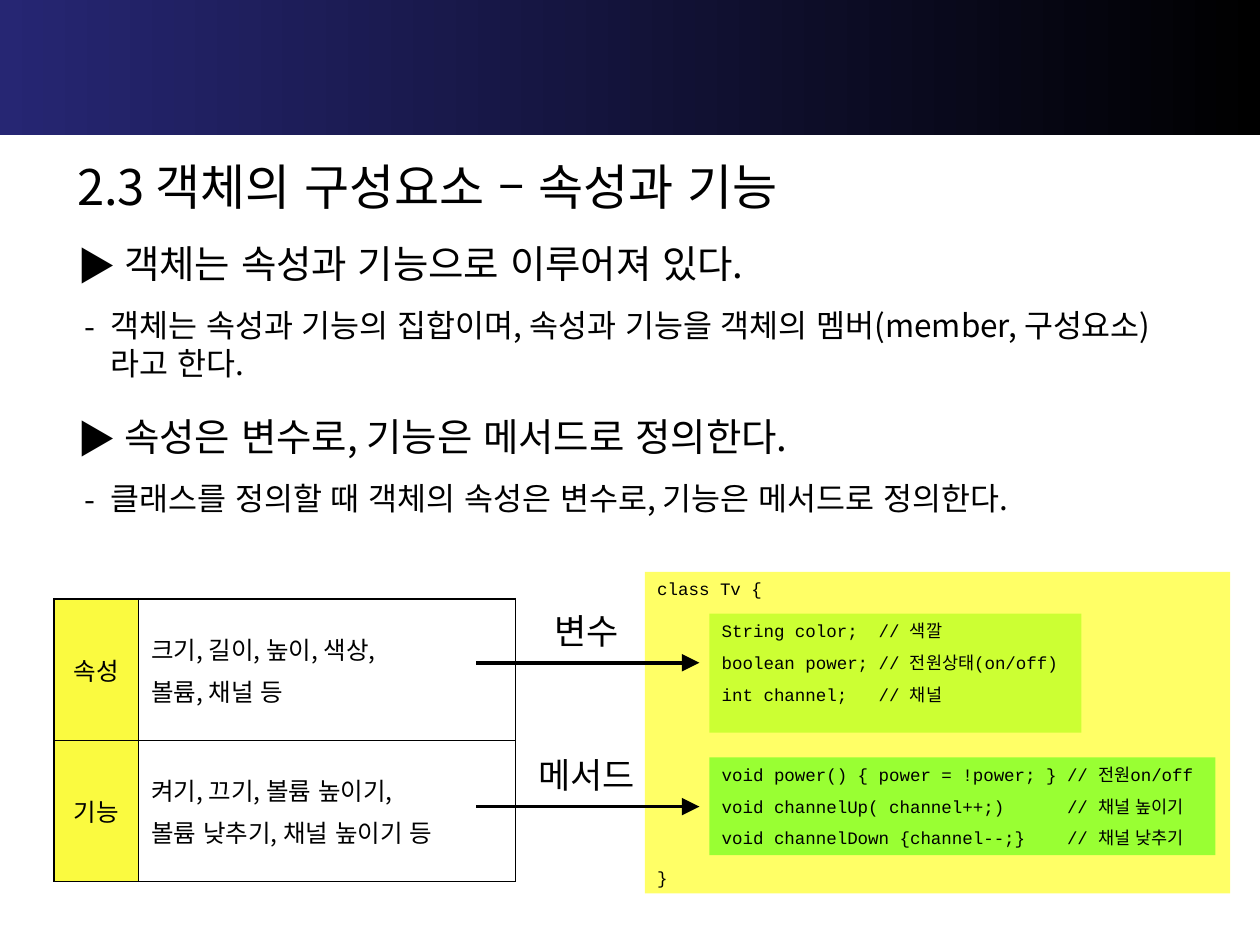
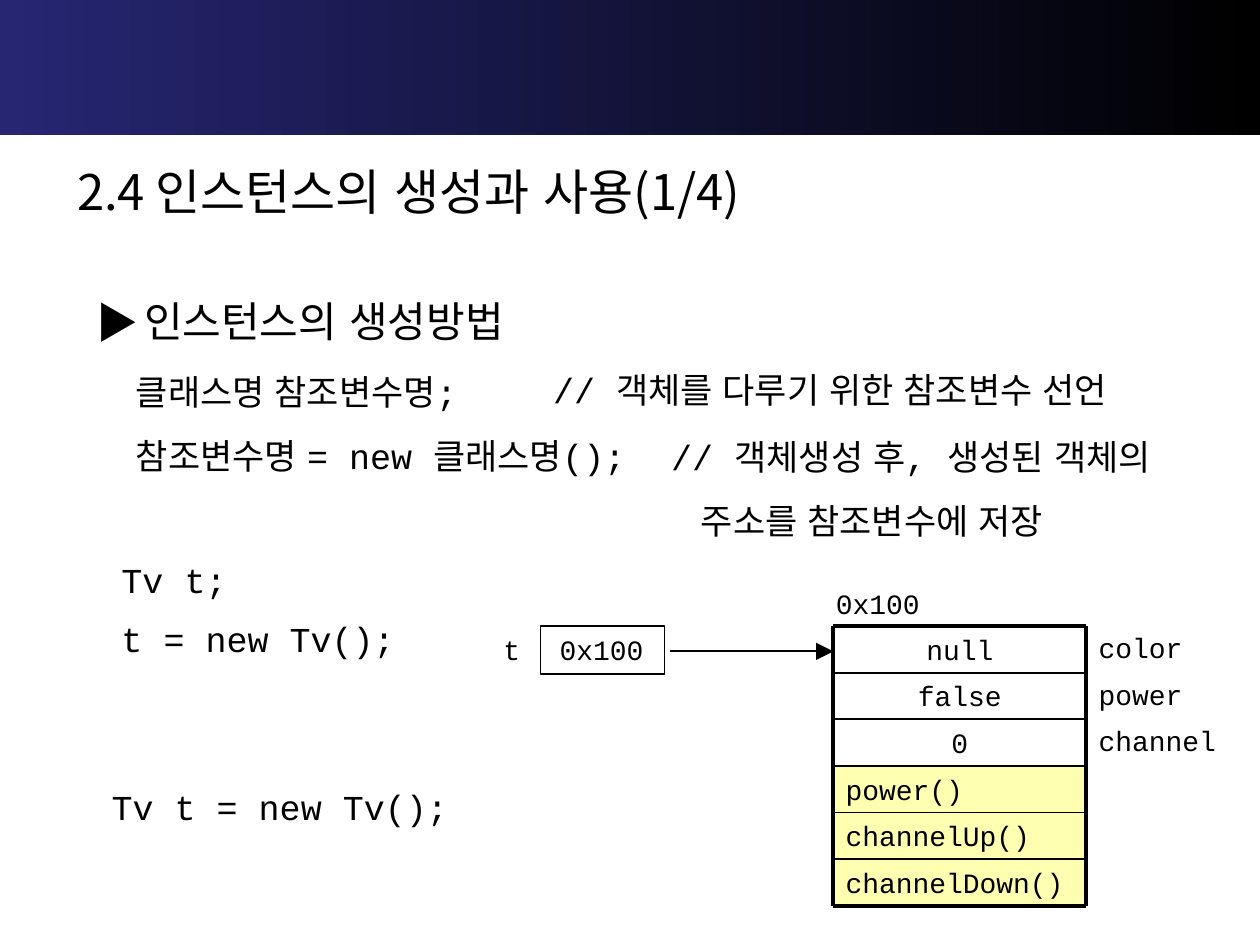
import pptx
import pptx.dml.color
import pptx.enum.lang
import pptx.enum.shapes
import pptx.enum.text
import pptx.oxml.ns
import pptx.util
from lxml import etree

Cm = pptx.util.Cm
Pt = pptx.util.Pt
RGBColor = pptx.dml.color.RGBColor
Align = pptx.enum.text.PP_ALIGN
Anchor = pptx.enum.text.MSO_ANCHOR
qn = pptx.oxml.ns.qn

BLACK = RGBColor(0x00, 0x00, 0x00)
NAVY = RGBColor(0x26, 0x26, 0x73)
CLASS_YELLOW = RGBColor(0xFF, 0xFF, 0x66)
FIELD_LIME = RGBColor(0xCC, 0xFF, 0x33)
METHOD_GREEN = RGBColor(0x99, 0xFF, 0x33)
HEADER_YELLOW = RGBColor(0xFA, 0xFA, 0x40)

KOREAN = "Noto Sans CJK KR"
CODE = "Courier New"
THICK, THIN = 2.25, 1


class Deck:
    def __init__(self):
        self.presentation = pptx.Presentation()
        self.presentation.slide_width = Cm(25.4)
        self.presentation.slide_height = Cm(19.05)
        self.slide = None

    def start_slide(self):
        layout = self.presentation.slide_layouts[1]
        self.slide = self.presentation.slides.add_slide(layout)
        band = self.box(0, -0.03, 25.4, 2.75)
        band.fill.gradient()
        band.fill.gradient_angle = 0
        for stop, color, position in zip(band.fill.gradient_stops, (NAVY, BLACK), (0, 1)):
            stop.color.rgb = color
            stop.position = position

    def place(self, shape, left, top, width, height):
        shape.left, shape.top = Cm(left), Cm(top)
        shape.width, shape.height = Cm(width), Cm(height)
        self.prepare(shape.text_frame)

    def prepare(self, frame):
        frame.word_wrap = True
        frame.auto_size = pptx.enum.text.MSO_AUTO_SIZE.NONE
        frame.vertical_anchor = Anchor.TOP

    def format_run(self, run, size, font):
        run.font.size = Pt(size)
        run.font.color.rgb = BLACK
        run.font.name = font
        run.font.language_id = pptx.enum.lang.MSO_LANGUAGE_ID.KOREAN
        run.font._element.set("kern", "0")
        etree.SubElement(run.font._element, qn("a:ea")).set("typeface", KOREAN)

    def format_paragraph(self, paragraph, size, font, align=Align.LEFT, before=0):
        paragraph.alignment = align
        paragraph.space_before = Pt(before)
        for run in paragraph.runs:
            self.format_run(run, size, font)

    def fill_text(self, frame, text, size, font, align=Align.LEFT, before=0):
        frame.text = text
        for index, paragraph in enumerate(frame.paragraphs):
            self.format_paragraph(paragraph, size, font, align, before if index else 0)

    def title(self, top, *parts):
        title = self.slide.shapes.title
        self.place(title, 1.3, top, 21.6, 1.45)
        paragraph = title.text_frame.paragraphs[0]
        self.format_paragraph(paragraph, 28, KOREAN)
        for text, font in parts:
            run = paragraph.add_run()
            run.text = text
            self.format_run(run, 28, font)

    def bullets(self, left, top, width, height, items, heading_size):
        body = self.slide.placeholders[1]
        self.place(body, left, top, width, height)
        body.text_frame.text = "\n".join(text for mark, text in items)
        for index, (paragraph, (mark, text)) in enumerate(zip(body.text_frame.paragraphs, items)):
            heading = mark == "▶"
            margin, hanging = (0.95, 0.95) if heading else (0.67, 0.53)
            properties = paragraph._p.get_or_add_pPr()
            properties.set("marL", str(Cm(margin)))
            properties.set("indent", str(-Cm(hanging)))
            etree.SubElement(properties, qn("a:buFont")).set("typeface", KOREAN)
            etree.SubElement(properties, qn("a:buChar")).set("char", mark)
            before = (18 if heading else 11.2) if index else 0
            self.format_paragraph(paragraph, heading_size if heading else 18, KOREAN, before=before)

    def box(self, left, top, width, height, fill=None, border=None, alpha=None):
        shape = self.slide.shapes.add_shape(
            pptx.enum.shapes.MSO_SHAPE.RECTANGLE, Cm(left), Cm(top), Cm(width), Cm(height))
        shape.shadow.inherit = False
        self.prepare(shape.text_frame)
        if fill is None:
            shape.fill.background()
        else:
            shape.fill.solid()
            shape.fill.fore_color.rgb = fill
        if alpha:
            color = shape._element.spPr.find(".//" + qn("a:srgbClr"))
            etree.SubElement(color, qn("a:alpha")).set("val", str(alpha * 1000))
        if border:
            shape.line.color.rgb = BLACK
            shape.line.width = Pt(border)
        else:
            shape.line.fill.background()
        return shape

    def code_box(self, left, top, width, height, fill, text, before=6.2):
        shape = self.box(left, top, width, height, fill)
        self.fill_text(shape.text_frame, text, 10, CODE, before=before)

    def label(self, left, top, width, height, text, size, font=CODE, align=Align.LEFT, before=0):
        shape = self.slide.shapes.add_textbox(Cm(left), Cm(top), Cm(width), Cm(height))
        self.prepare(shape.text_frame)
        self.fill_text(shape.text_frame, text, size, font, align, before)
        return shape

    def line(self, start, end, width, arrow=False):
        connector = self.slide.shapes.add_connector(
            pptx.enum.shapes.MSO_CONNECTOR.STRAIGHT, *(Cm(value) for value in (*start, *end)))
        connector.line.color.rgb = BLACK
        connector.line.width = Pt(width)
        if arrow:
            etree.SubElement(connector.line._get_or_add_ln(), qn("a:tailEnd"),
                             type="triangle", w="lg", len="lg")
        etree.SubElement(connector._element.spPr, qn("a:effectLst"))

    def border(self, cell, side, width):
        properties = cell._tc.get_or_add_tcPr()
        edge = etree.SubElement(properties, qn("a:ln" + side), w=str(Pt(width)))
        fill = etree.SubElement(edge, qn("a:solidFill"))
        etree.SubElement(fill, qn("a:srgbClr")).set("val", str(BLACK))

    def table(self, left, top, column_widths, row_height, rows):
        last_row, last_column = len(rows) - 1, len(column_widths) - 1
        table = self.slide.shapes.add_table(
            len(rows), len(column_widths), Cm(left), Cm(top),
            Cm(sum(column_widths)), Cm(row_height * len(rows))).table
        table.first_row = table.horz_banding = False
        for column, width in zip(table.columns, column_widths):
            column.width = Cm(width)
        for row_index, row in enumerate(rows):
            for column_index, text in enumerate(row):
                cell = table.cell(row_index, column_index)
                cell.vertical_anchor = Anchor.MIDDLE
                align = Align.LEFT if column_index else Align.CENTER
                self.fill_text(cell.text_frame, text, 14, KOREAN, align, 3.5)
                outer = {"L": column_index == 0, "R": column_index == last_column,
                         "T": row_index == 0, "B": row_index == last_row}
                for side, is_outer in outer.items():
                    self.border(cell, side, 1.08 if is_outer else 0.45)
                if column_index:
                    cell.fill.background()
                else:
                    cell.fill.solid()
                    cell.fill.fore_color.rgb = HEADER_YELLOW


def build_members_slide(deck):
    deck.start_slide()
    deck.code_box(13, 11.53, 11.8, 6.48, CLASS_YELLOW, "class Tv {\n}", 153)
    deck.title(3.02, ("2.3 객체의 구성요소 ", KOREAN), ("– ", "Arial"), ("속성과 기능", KOREAN))
    deck.bullets(1.3, 4.72, 22.6, 5.9, [
        ("▶", "객체는 속성과 기능으로 이루어져 있다."),
        ("-", "객체는 속성과 기능의 집합이며, 속성과 기능을 객체의 멤버(member, 구성요소)라고 한다."),
        ("▶", "속성은 변수로, 기능은 메서드로 정의한다."),
        ("-", "클래스를 정의할 때 객체의 속성은 변수로, 기능은 메서드로 정의한다."),
    ], 22)
    deck.table(1.09, 12.07, (1.7, 7.6), 2.85, [
        ("속성", "크기, 길이, 높이, 색상,\n볼륨, 채널 등"),
        ("기능", "켜기, 끄기, 볼륨 높이기,\n볼륨 낮추기, 채널 높이기 등"),
    ])
    for text, arrow_top in (("변수", 13.36), ("메서드", 16.26)):
        deck.line((9.6, arrow_top), (14.1, arrow_top), 2, arrow=True)
        deck.label(10.3, arrow_top - 1.19, 3.05, 1.12, text, 20, KOREAN, Align.CENTER)
    deck.code_box(14.3, 12.37, 7.5, 2.4, FIELD_LIME,
                  "String color;  // 색깔\n"
                  "boolean power; // 전원상태(on/off)\n"
                  "int channel;   // 채널")
    deck.code_box(14.3, 15.27, 10.2, 1.97, METHOD_GREEN,
                  "void power() { power = !power; } // 전원on/off\n"
                  "void channelUp( channel++;)      // 채널 높이기\n"
                  "void channelDown {channel--;}    // 채널 낮추기")


def build_instance_slide(deck):
    deck.start_slide()
    deck.title(3.12, ("2.4 인스턴스의 생성과 사용(1/4)", KOREAN))
    deck.bullets(1.7, 5.82, 10.7, 1.27, [("▶", "인스턴스의 생성방법")], 24)
    deck.label(2.49, 7.34, 11.5, 2.39, "클래스명 참조변수명;\n참조변수명 = new 클래스명();", 20, before=12.5)
    deck.label(10.9, 7.31, 13.6, 1.12, "// 객체를 다루기 위한 참조변수 선언", 20)
    comment = deck.label(13.28, 8.66, 11.6, 2.39,
                         "// 객체생성 후, 생성된 객체의\n주소를 참조변수에 저장", 20, before=12.5)
    comment.text_frame.paragraphs[1]._p.get_or_add_pPr().set("marL", str(Cm(0.6)))
    for left, top, statement in ((2.2, 11.13, "Tv t;"), (2.2, 12.32, "t = new Tv();"),
                                 (2, 15.72, "Tv t = new Tv();")):
        deck.label(left, top, 8, 1.12, statement, 20)

    left, top, width, row_height = 16.8, 12.62, 5.1, 0.94
    right = left + width
    fields = [("null", "color"), ("false", "power"), ("0", "channel")]
    methods = ["power()", "channelUp()", "channelDown()"]
    row_tops = [top + index * row_height for index in range(len(fields) + len(methods) + 1)]
    for row_top, (value, name) in zip(row_tops, fields):
        deck.label(left, row_top, width, row_height, value, 16, align=Align.CENTER)
        deck.label(right, row_top - 0.03, 3.2, row_height, name, 16)
    for row_top, method in zip(row_tops[len(fields):], methods):
        cell = deck.box(left, row_top, width, row_height, CLASS_YELLOW, alpha=50)
        deck.fill_text(cell.text_frame, method, 16, CODE)
    for row_top in row_tops:
        deck.line((left, row_top), (right, row_top),
                  THICK if row_top in (row_tops[0], row_tops[-1]) else THIN)
    for side in (left, right):
        deck.line((side, row_tops[0]), (side, row_tops[-1]), THICK)

    deck.label(16.6, 11.7, 2.6, row_height, "0x100", 16)
    deck.label(9.9, top, 0.9, row_height, "t", 16)
    deck.box(10.9, top, 2.5, 0.97, border=0.75)
    deck.label(10.75, top, 2.75, row_height, "0x100", 16, align=Align.CENTER)
    deck.line((13.5, 13.13), (left, 13.13), 1, arrow=True)


def main():
    deck = Deck()
    build_members_slide(deck)
    build_instance_slide(deck)
    deck.presentation.save("out.pptx")


if __name__ == "__main__":
    main()
